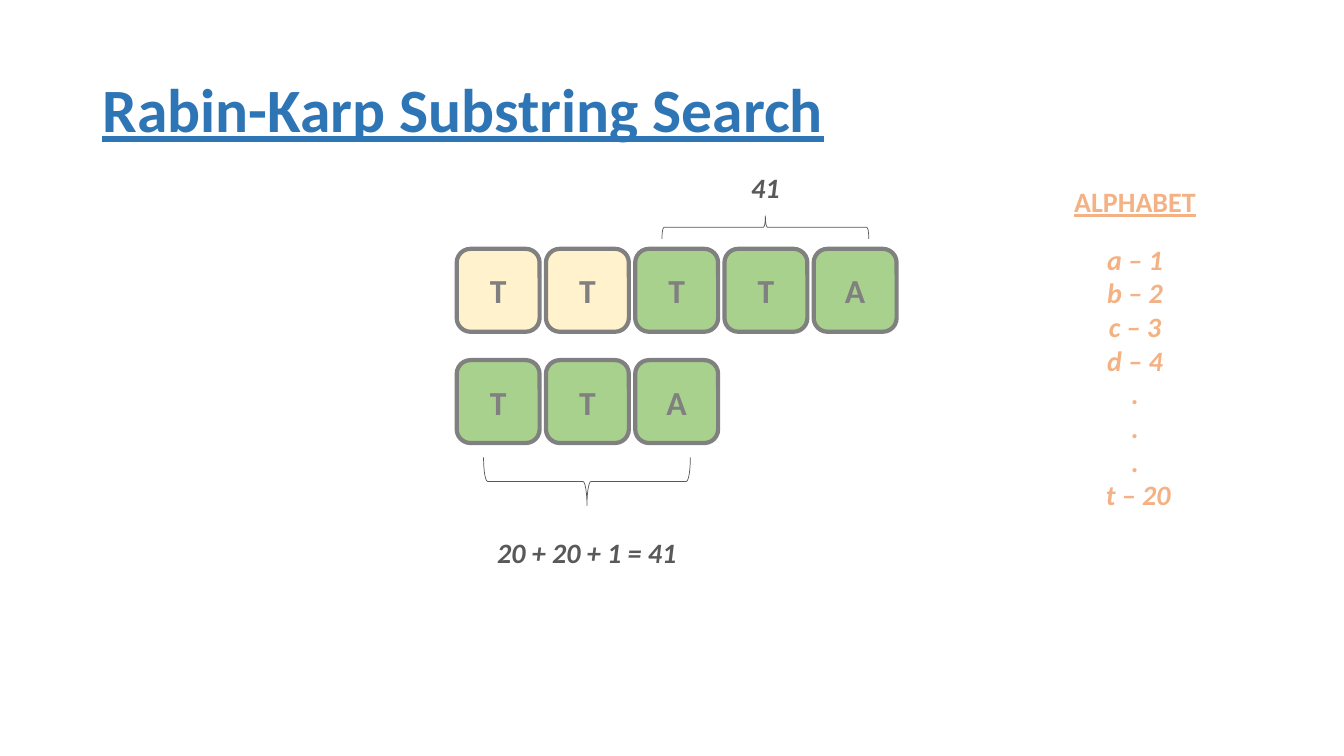
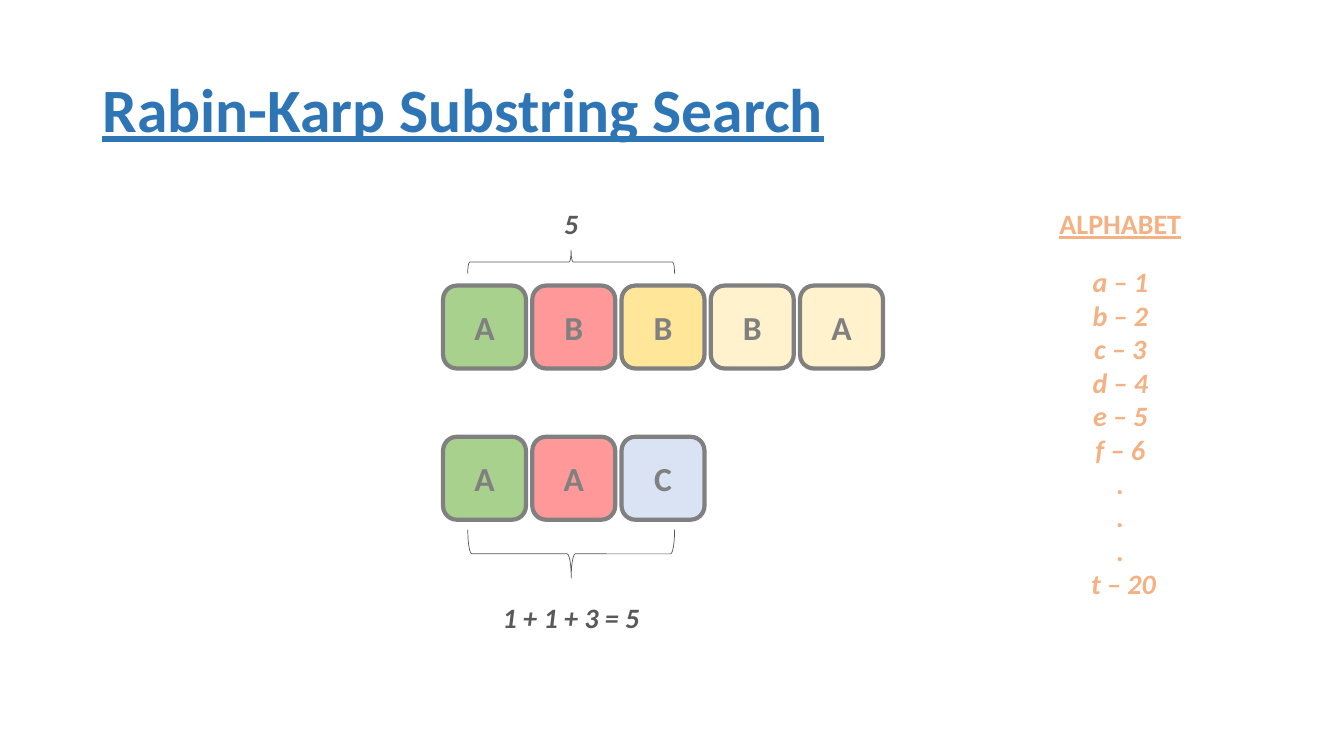
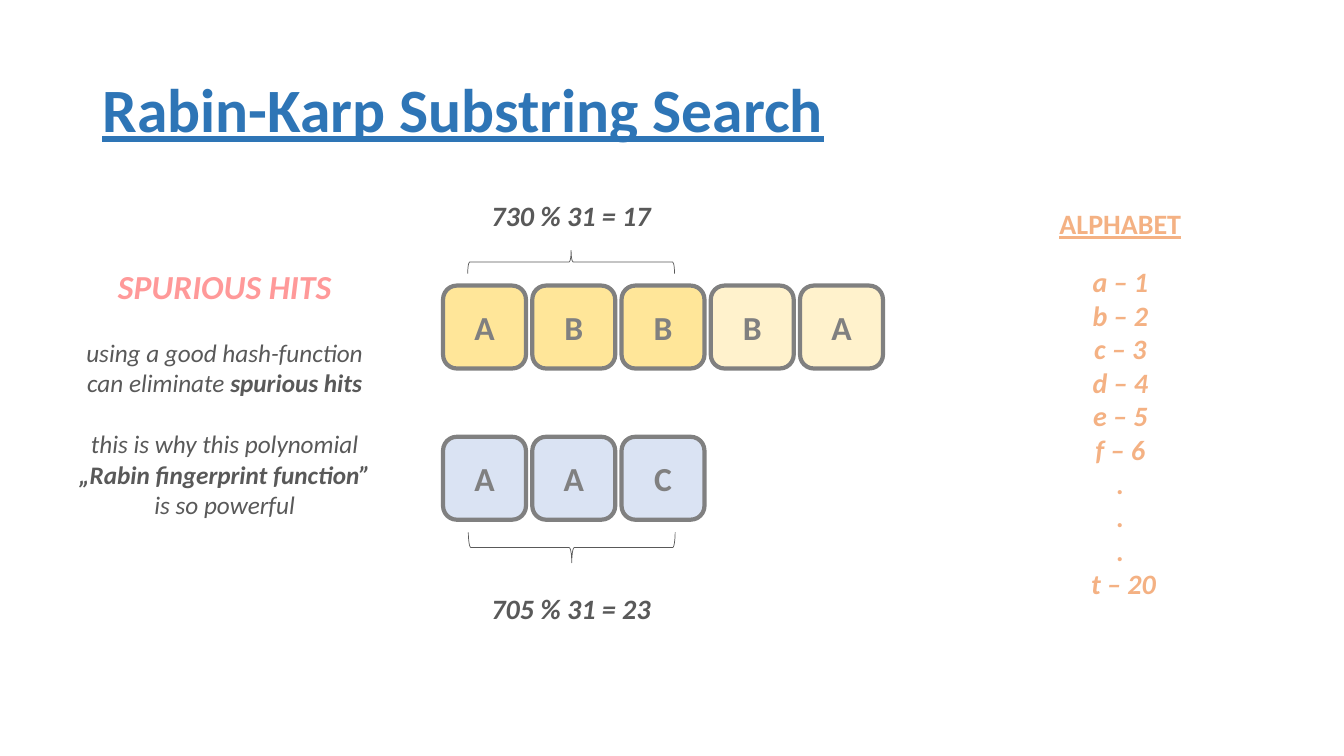
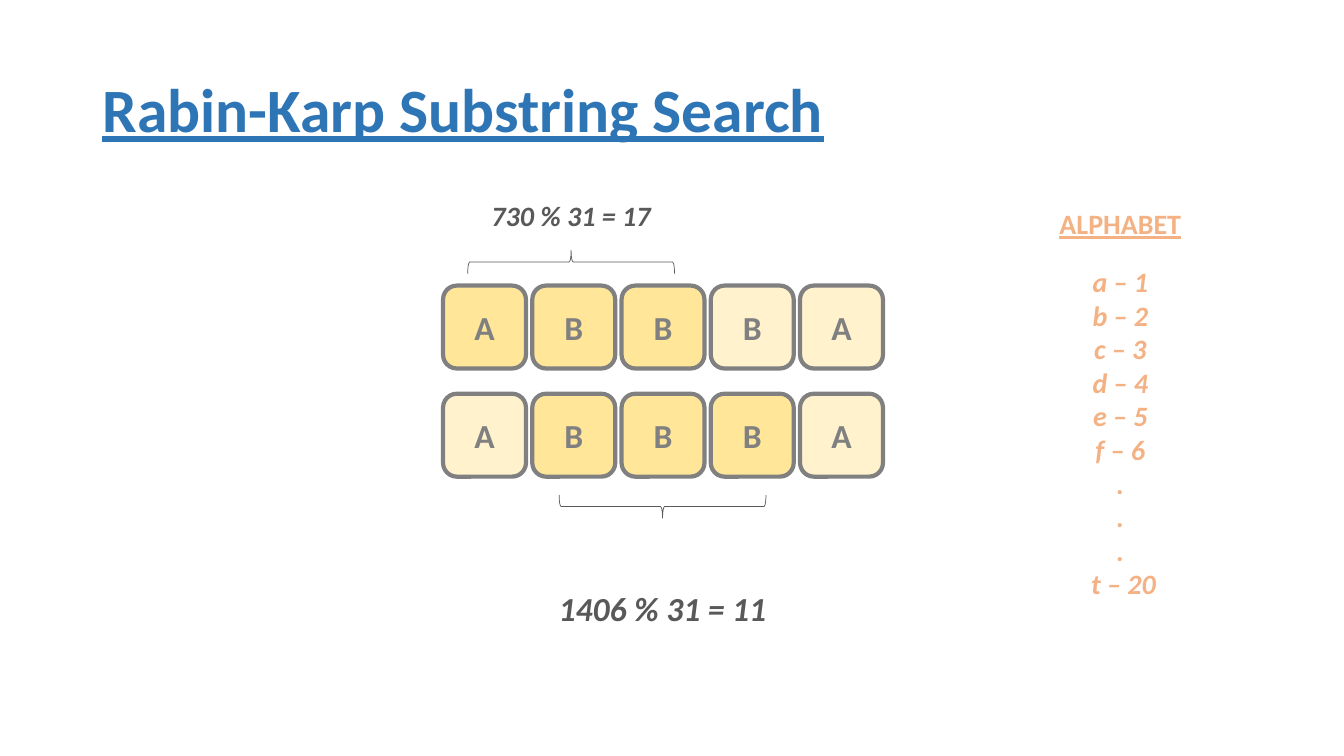
from lxml.etree import SubElement
from pptx import Presentation
from pptx.dml.color import RGBColor
from pptx.enum.shapes import MSO_SHAPE
from pptx.enum.text import MSO_ANCHOR, MSO_AUTO_SIZE, PP_ALIGN
from pptx.oxml.ns import qn
from pptx.util import Pt

PX = 9525
WIDE, HIGH = 1280, 720
HUES = {
    "blue": "2E75B6", "gray": "808080", "ink": "595959", "peach": "F4B183",
    "cream": "FFF2CC", "gold": "FFE699", "green": "A9D18E", "rose": "FF9999",
    "ice": "DAE3F3",
}
SIDE, STEP, SPAN = 79, 85, 197
LEFT, TOP = 422, 272
START = ["a – 1", "b – 2", "c – 3", "d – 4"]
MORE = START + ["e – 5", "f – 6"]
TAIL = [".", ".", ".", " t – 20"]


class Deck:
    """Holds the style and the current slide, and draws each kind of element."""

    def __init__(self):
        self.show = Presentation()
        self.show.slide_width = WIDE * PX
        self.show.slide_height = HIGH * PX
        self.slide = None

    def hue(self, name):
        return RGBColor.from_string(HUES[name])

    def style(self, run, size, hue, bold=True, slant=False, under=False):
        font = run.font
        font.name, font.size = "Calibri", Pt(size)
        font.bold, font.italic, font.underline = bold, slant, under
        font.color.rgb = self.hue(hue)

    def place(self, shape, x, y, w, h):
        shape.left, shape.top = x * PX, y * PX
        shape.width, shape.height = w * PX, h * PX

    def page(self, title="Rabin-Karp Substring Search"):
        self.slide = self.show.slides.add_slide(self.show.slide_layouts[1])
        head = self.slide.shapes.title
        self.place(head, 88, 38, 1104, 139)
        frame = head.text_frame
        frame.text = title
        frame.auto_size = MSO_AUTO_SIZE.NONE
        frame.vertical_anchor = MSO_ANCHOR.MIDDLE
        para = frame.paragraphs[0]
        para.alignment, para.line_spacing = PP_ALIGN.LEFT, 0.9
        self.style(para.runs[0], 44, "blue", under=True)

    def frame(self, x, y, w, h):
        box = self.slide.shapes.add_textbox(x * PX, y * PX, w * PX, h * PX)
        box.text_frame.word_wrap = True
        return box.text_frame

    def label(self, mid, y, text, hue="ink", size=20, slant=True, under=False):
        frame = self.frame(mid - 120, y, 240, 42)
        frame.text = text
        para = frame.paragraphs[0]
        para.alignment = PP_ALIGN.CENTER
        self.style(para.runs[0], size, hue, slant=slant, under=under)

    def shape(self, kind, x, y, w, h, width, hue):
        shape = self.slide.shapes.add_shape(kind, x * PX, y * PX, w * PX, h * PX)
        shape.shadow.inherit = False
        shape.line.width = Pt(width)
        shape.line.color.rgb = self.hue(hue)
        return shape

    def row(self, x, y, word, fills):
        for i, (char, fill) in enumerate(zip(word, fills.split())):
            cell = self.shape(MSO_SHAPE.ROUNDED_RECTANGLE, x + i * STEP, y,
                              SIDE, SIDE, 3, "gray")
            cell.fill.solid()
            cell.fill.fore_color.rgb = self.hue(fill)
            cell.text_frame.text = char
            cell.text_frame.vertical_anchor = MSO_ANCHOR.MIDDLE
            para = cell.text_frame.paragraphs[0]
            para.alignment = PP_ALIGN.CENTER
            self.style(para.runs[0], 24, "gray")

    def brace(self, mid, y, text, base, deep=22, turn=270, size=20):
        mark = self.shape(MSO_SHAPE.RIGHT_BRACE, mid - deep // 2, y - SPAN // 2,
                          deep, SPAN, 0.5, "ink")
        mark.fill.background()
        mark.rotation = turn
        self.label(mid, base, text, size=size)

    def key(self, mid, y, rows):
        self.label(mid, y, "ALPHABET", "peach", slant=False, under=True)
        body = self.slide.placeholders[1]
        self.place(body, mid - 60, y + 55, 120, 32 * len(rows) + 12)
        frame = body.text_frame
        frame.text = "\n".join(rows)
        frame.auto_size = MSO_AUTO_SIZE.NONE
        for para in frame.paragraphs:
            props = para._p.get_or_add_pPr()
            props.set("marL", "0")
            props.set("indent", "0")
            SubElement(props, qn("a:buNone"))
            para.alignment, para.space_before = PP_ALIGN.CENTER, Pt(0)
            self.style(para.runs[0], 20, "peach", slant=True)

    def note(self, x, y, w, h, head, blocks):
        frame = self.frame(x, y, w, h)
        frame.text = head
        para = frame.paragraphs[0]
        para.alignment = PP_ALIGN.CENTER
        self.style(para.runs[0], 24, "rose", slant=True)
        for block in blocks:
            for i, line in enumerate(block):
                para = frame.add_paragraph()
                para.alignment = PP_ALIGN.CENTER
                para.space_before = Pt(0 if i else 22)
                for j, part in enumerate(line.split("|")):
                    if part:
                        run = para.add_run()
                        run.text = part
                        self.style(run, 18, "ink", bold=j % 2 == 1, slant=True)


def main():
    deck = Deck()

    deck.page()
    deck.row(435, 237, "TTTTA", "cream cream green green green")
    deck.row(435, 343, "TTA", "green green green")
    deck.brace(729, 216, "41", 158)
    deck.brace(559, 458, "20 + 20 + 1 = 41", 505, deep=46, turn=90)
    deck.key(1081, 171, START + TAIL)

    deck.page()
    deck.row(LEFT, TOP, "ABBBA", "green rose gold cream cream")
    deck.row(LEFT, 416, "AAC", "green rose ice")
    deck.brace(544, 249, "5", 192)
    deck.brace(544, 527, "1 + 1 + 3 = 5", 567, deep=46, turn=90)
    deck.key(1067, 192, MORE + TAIL)

    for hits in (True, False):
        deck.page()
        deck.row(LEFT, TOP, "ABBBA", "gold gold gold cream cream")
        deck.brace(544, 249, "730 % 31 = 17", 184)
        deck.key(1067, 192, MORE + TAIL)
        if hits:
            deck.row(LEFT, 416, "AAC", "ice ice ice")
            deck.brace(544, 521, "705 % 31 = 23", 559, deep=29, turn=90)
            deck.note(64, 249, 300, 310, "SPURIOUS HITS", [
                ["using a good hash-function", "can eliminate |spurious hits"],
                ["this is why this polynomial", "|„Rabin fingerprint function”",
                 "is so powerful"],
            ])
        else:
            deck.row(LEFT, 375, "ABBBA", "cream gold gold gold cream")
            deck.brace(631, 482, "1406 % 31 = 11", 555, turn=90, size=24)

    deck.show.save("out.pptx")


if __name__ == "__main__":
    main()
